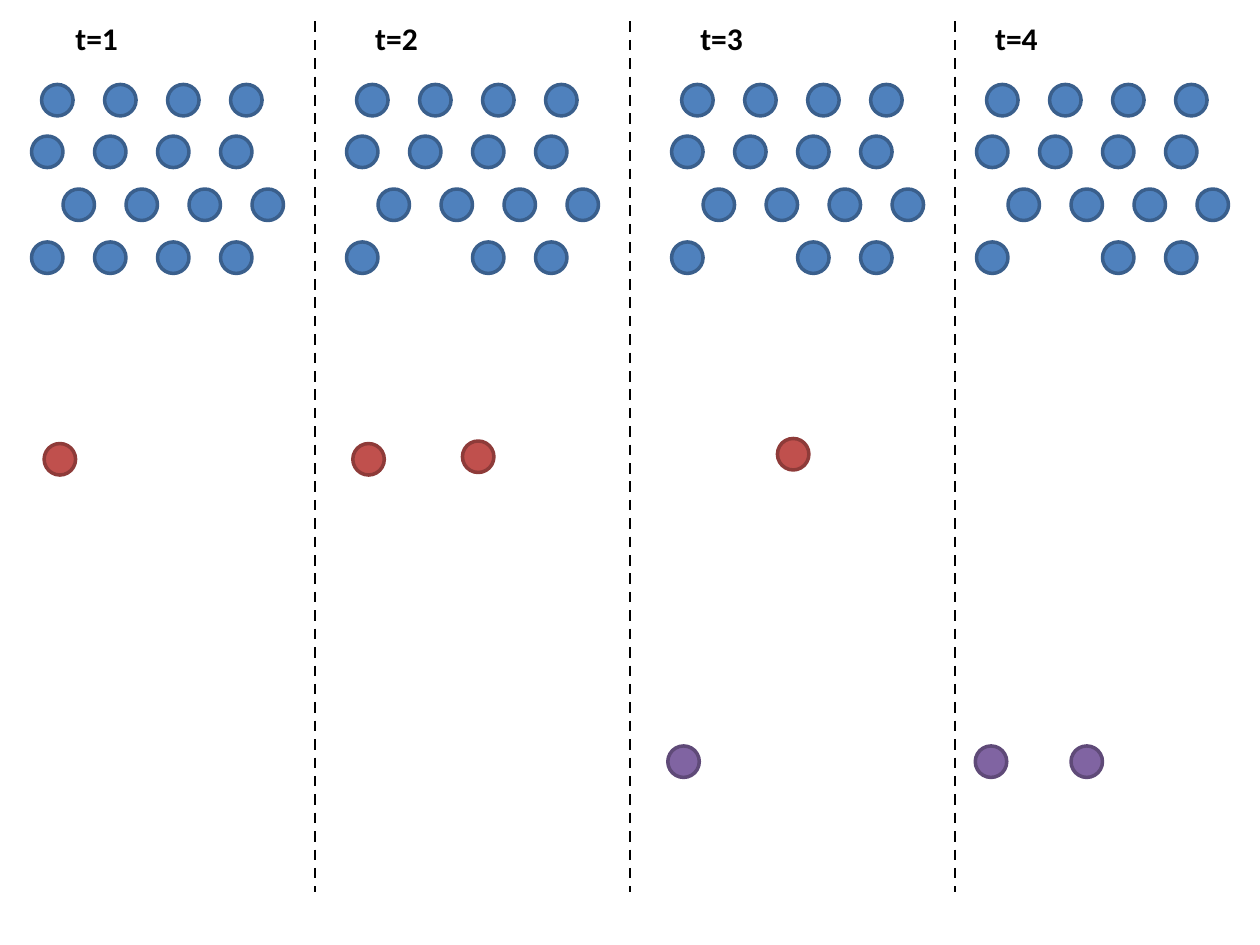
import pptx
import pptx.util
import pptx.dml.color
import pptx.enum.dml
import pptx.enum.shapes
import pptx.enum.text
import pptx.oxml.ns
import lxml.etree

RGBColor = pptx.dml.color.RGBColor
Inches = pptx.util.Inches
BLACK = RGBColor(0x00, 0x00, 0x00)
BLUE, BLUE_EDGE = RGBColor(0x4F, 0x81, 0xBD), RGBColor(0x3A, 0x5F, 0x8C)
RED, RED_EDGE = RGBColor(0xC0, 0x50, 0x4D), RGBColor(0x8E, 0x3B, 0x39)
PURPLE, PURPLE_EDGE = RGBColor(0x80, 0x64, 0xA2), RGBColor(0x5F, 0x4A, 0x78)

# Grid of particles inside each time panel, in inches
DIAMETER = 0.25
COLUMN_STEP = 0.5
ROW_TOPS = [0.67, 1.08, 1.5, 1.92]
ROW_SHIFTS = [0.08, 0, 0.25, 0]
PANEL_LEFTS = [0.25, 2.75, 5.33, 7.75]
LABEL_LEFTS = [0.5, 2.88, 5.46, 7.8]
DIVIDERS = [2.5, 5, 7.58]
VACANCY = (3, 1)  # row and column left empty after the first step

presentation = pptx.Presentation()
presentation.slide_width = Inches(10)
presentation.slide_height = Inches(7.5)
slide = presentation.slides.add_slide(presentation.slide_layouts[6])


def add_particle(left, top, fill, edge):
    shape = slide.shapes.add_shape(
        pptx.enum.shapes.MSO_SHAPE.OVAL,
        Inches(left), Inches(top), Inches(DIAMETER), Inches(DIAMETER))
    shape.shadow.inherit = False
    shape.fill.solid()
    shape.fill.fore_color.rgb = fill
    shape.line.color.rgb = edge
    shape.line.width = pptx.util.Pt(2)


# Dashed dividers between panels
for divider in DIVIDERS:
    connector = slide.shapes.add_connector(
        pptx.enum.shapes.MSO_CONNECTOR.STRAIGHT,
        Inches(divider), Inches(0.17), Inches(divider), Inches(7.08))
    connector.line.color.rgb = BLACK
    connector.line.width = pptx.util.Pt(1.5)
    connector.line.dash_style = pptx.enum.dml.MSO_LINE.DASH
    lxml.etree.SubElement(connector._element.spPr, pptx.oxml.ns.qn("a:effectLst"))

# Blue particles
for panel, panel_left in enumerate(PANEL_LEFTS):
    for row, (top, shift) in enumerate(zip(ROW_TOPS, ROW_SHIFTS)):
        for column in range(4):
            if panel == 0 or (row, column) != VACANCY:
                add_particle(panel_left + shift + column * COLUMN_STEP, top, BLUE, BLUE_EDGE)

# Red particles in the middle
for left, top in [(0.35, 3.52), (2.8, 3.52), (3.67, 3.5), (6.17, 3.48)]:
    add_particle(left, top, RED, RED_EDGE)

# Purple particles at the bottom
for left in [5.3, 7.74, 8.5]:
    add_particle(left, 5.92, PURPLE, PURPLE_EDGE)

# Time labels
for step, left in enumerate(LABEL_LEFTS, start=1):
    label = slide.shapes.add_textbox(Inches(left), Inches(0.1), Inches(1.04), Inches(0.4))
    label.text_frame.word_wrap = True
    label.text_frame.auto_size = pptx.enum.text.MSO_AUTO_SIZE.SHAPE_TO_FIT_TEXT
    label.text_frame.text = f"t={step}"
    font = label.text_frame.paragraphs[0].runs[0].font
    font.name = "Calibri"
    font.size = pptx.util.Pt(18)
    font.bold = True
    font.color.rgb = BLACK

presentation.save("out.pptx")
